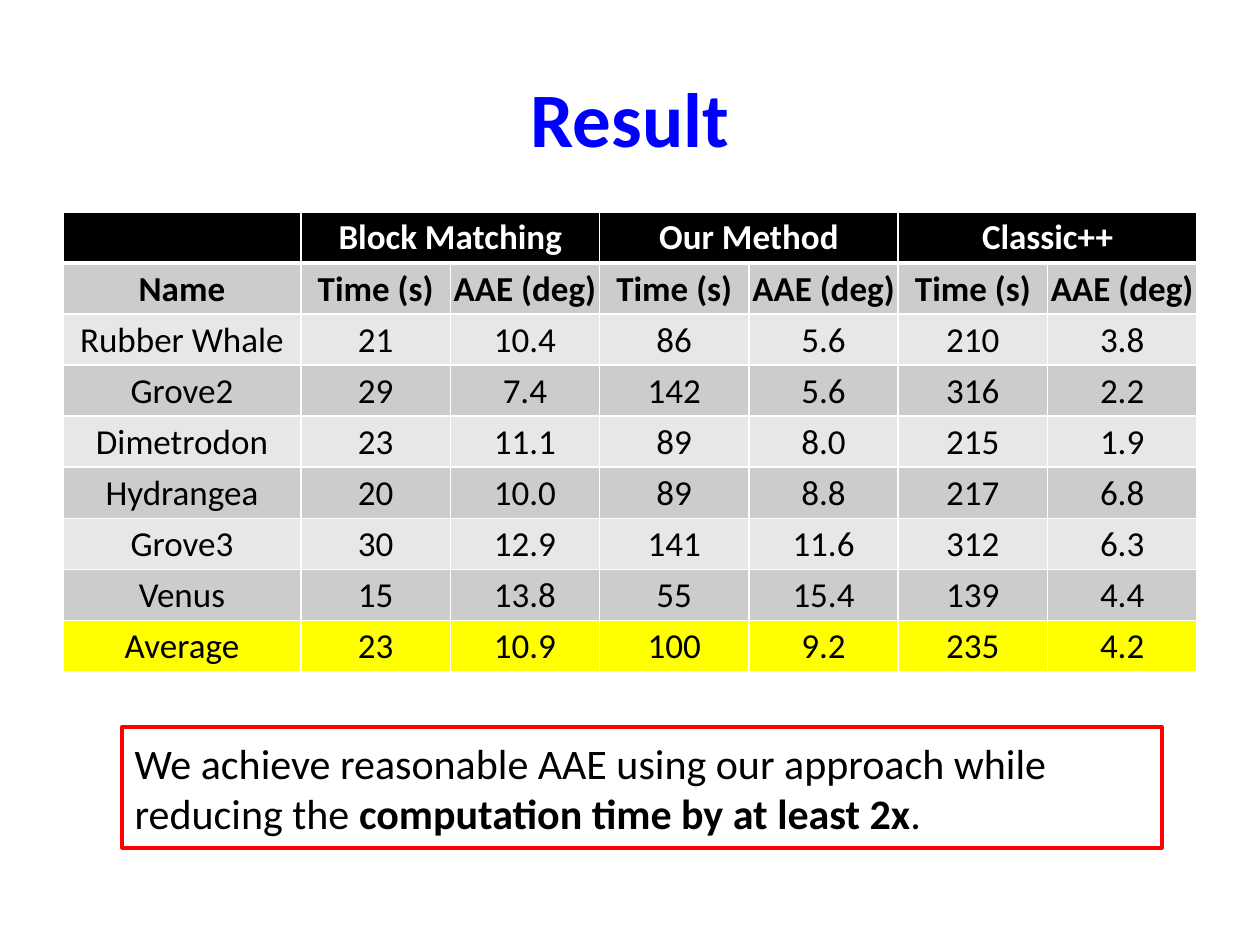
import dataclasses

import pptx
import pptx.dml.color
import pptx.enum.shapes
import pptx.enum.text
import pptx.oxml
import pptx.oxml.ns
import pptx.util

Pt = pptx.util.Pt
ALIGN = pptx.enum.text.PP_ALIGN
MIDDLE = pptx.enum.text.MSO_ANCHOR.MIDDLE


@dataclasses.dataclass(frozen=True)
class Theme:
    font: str = "Calibri"
    title_size: int = 44
    note_size: int = 24
    table_size: int = 20
    title: str = "0000FF"
    text: str = "000000"
    white: str = "FFFFFF"
    header: str = "000000"
    dark_band: str = "CCCCCC"
    light_band: str = "E7E7E7"
    highlight: str = "FFFF00"
    frame: str = "FF0000"


@dataclasses.dataclass(frozen=True)
class Box:
    left: float
    top: float
    width: float
    height: float

    def emu(self) -> list[int]:
        return [Pt(v) for v in dataclasses.astuple(self)]


@dataclasses.dataclass(frozen=True)
class RowStyle:
    fill: str
    color: str
    bold: bool = False
    top: float = 1
    bottom: float = 1


THEME = Theme()

TITLE_BOX = Box(36, 21.6, 648, 90)
TABLE_BOX = Box(36, 121, 648, 262.8)
NOTE_BOX = Box(69.84, 415.44, 594, 69.12)
NAME_WIDTH = 136
CELL_INSET = 0.72

METHODS = ["Block Matching", "Our Method", "Classic++"]
ROWS = [
    ["", *(text for method in METHODS for text in (method, ""))],
    ["Name"] + ["Time (s)", "AAE (deg)"] * len(METHODS),
    ["Rubber Whale", "21", "10.4", "86", "5.6", "210", "3.8"],
    ["Grove2", "29", "7.4", "142", "5.6", "316", "2.2"],
    ["Dimetrodon", "23", "11.1", "89", "8.0", "215", "1.9"],
    ["Hydrangea", "20", "10.0", "89", "8.8", "217", "6.8"],
    ["Grove3", "30", "12.9", "141", "11.6", "312", "6.3"],
    ["Venus", "15", "13.8", "55", "15.4", "139", "4.4"],
    ["Average", "23", "10.9", "100", "9.2", "235", "4.2"],
]


def rgb(color: str) -> pptx.dml.color.RGBColor:
    return pptx.dml.color.RGBColor.from_string(color)


def style_paragraph(p, size: float, color: str, align, bold: bool | None = None) -> None:
    p.alignment = align
    p.font.name = THEME.font
    p.font.size = Pt(size)
    p.font.bold = bold
    p.font.color.rgb = rgb(color)


def row_style(index: int) -> RowStyle:
    if index == 0:
        return RowStyle(THEME.header, THEME.white, bold=True, bottom=3)
    if index == 1:
        return RowStyle(THEME.dark_band, THEME.text, bold=True, top=3)
    if index == len(ROWS) - 1:
        return RowStyle(THEME.highlight, THEME.text)
    return RowStyle(THEME.dark_band if index % 2 else THEME.light_band, THEME.text)


def set_borders(cell, style: RowStyle) -> None:
    tc_pr = cell._tc.get_or_add_tcPr()
    widths = {"lnL": 1, "lnR": 1, "lnT": style.top, "lnB": style.bottom}
    for position, (tag, width) in enumerate(widths.items()):
        # Border lines come before the fill in the cell properties
        tc_pr.insert(position, pptx.oxml.parse_xml(
            f'<a:{tag} {pptx.oxml.ns.nsdecls("a")} w="{Pt(width)}">'
            f'<a:solidFill><a:srgbClr val="{THEME.white}"/></a:solidFill></a:{tag}>'))


def draw_cell(cell, text: str, style: RowStyle) -> None:
    cell.fill.solid()
    cell.fill.fore_color.rgb = rgb(style.fill)
    set_borders(cell, style)
    cell.vertical_anchor = MIDDLE
    cell.margin_left = cell.margin_right = cell.margin_top = Pt(CELL_INSET)
    cell.margin_bottom = 0
    cell.text = text
    style_paragraph(cell.text_frame.paragraphs[0], THEME.table_size, style.color,
                    ALIGN.CENTER, style.bold)


def draw_title(s) -> None:
    tf = s.shapes.add_textbox(*TITLE_BOX.emu()).text_frame
    tf.word_wrap = True
    tf.vertical_anchor = MIDDLE
    p = tf.paragraphs[0]
    p.text = "Result"
    style_paragraph(p, THEME.title_size, THEME.title, ALIGN.CENTER, True)


def draw_table(s) -> None:
    columns = len(ROWS[0])
    table = s.shapes.add_table(len(ROWS), columns, *TABLE_BOX.emu()).table
    table.first_row = table.horz_banding = False
    value_width = (TABLE_BOX.width - NAME_WIDTH) / (columns - 1)
    for c, column in enumerate(table.columns):
        column.width = Pt(value_width if c else NAME_WIDTH)
    for r, texts in enumerate(ROWS):
        table.rows[r].height = Pt(TABLE_BOX.height / len(ROWS))
        for c, text in enumerate(texts):
            draw_cell(table.cell(r, c), text, row_style(r))
    # Each method heading spans its two value columns
    for c in range(1, columns, 2):
        table.cell(0, c).merge(table.cell(0, c + 1))


def draw_note(s) -> None:
    sp = s.shapes.add_shape(pptx.enum.shapes.MSO_SHAPE.RECTANGLE, *NOTE_BOX.emu())
    sp.shadow.inherit = False
    sp.fill.background()
    sp.line.color.rgb = rgb(THEME.frame)
    sp.line.width = Pt(2.25)
    tf = sp.text_frame
    tf.word_wrap = True
    tf.vertical_anchor = MIDDLE
    p = tf.paragraphs[0]
    style_paragraph(p, THEME.note_size, THEME.text, ALIGN.LEFT)
    for text, bold in [
        ("We achieve reasonable AAE using our approach while reducing the ", False),
        ("computation time by at least 2x", True),
        (".", False),
    ]:
        r = p.add_run()
        r.text = text
        r.font.bold = bold


def main() -> None:
    prs = pptx.Presentation()
    prs.slide_width, prs.slide_height = Pt(720), Pt(540)
    s = prs.slides.add_slide(prs.slide_layouts[6])
    draw_title(s)
    draw_table(s)
    draw_note(s)
    prs.save("out.pptx")


if __name__ == "__main__":
    main()
